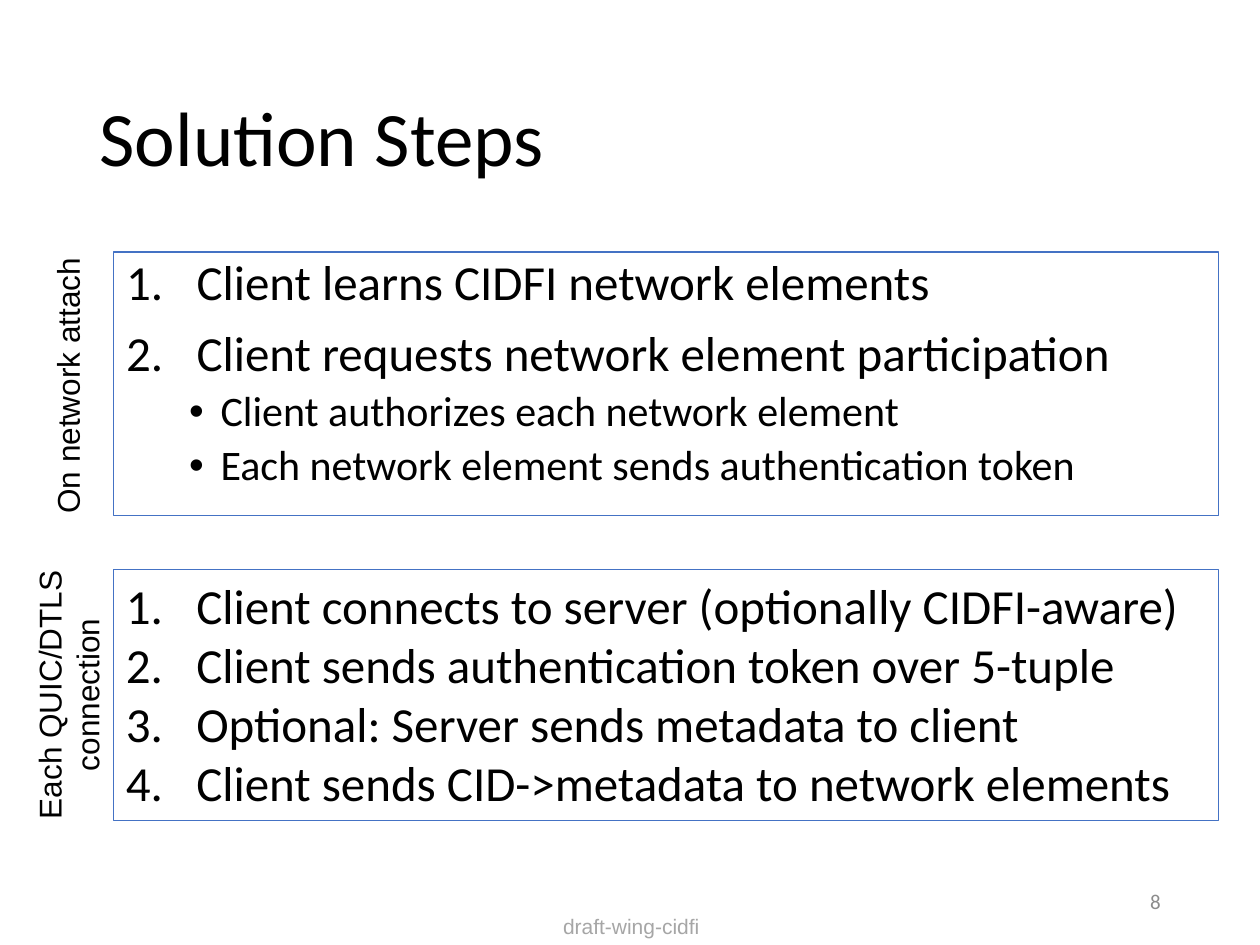
from dataclasses import dataclass

from lxml.etree import SubElement
from pptx import Presentation
from pptx.dml.color import RGBColor
from pptx.enum.text import MSO_ANCHOR, MSO_AUTO_SIZE, PP_ALIGN
from pptx.oxml.ns import qn
from pptx.util import Inches, Pt


@dataclass(frozen=True)
class Theme:
    heading_font: str = "Calibri"
    label_font: str = "Arial"
    text: str = "000000"
    border: str = "4472C4"
    number: str = "8C8C8C"
    footer: str = "A6A6A6"
    title_size: int = 44
    step_size: int = 28
    detail_size: int = 24
    label_size: int = 18
    small_size: int = 12


THEME = Theme()
BOX_LEFT, BOX_WIDTH = 0.9, 8.77

ATTACH_STEPS = [
    (0, "Client learns CIDFI network elements"),
    (0, "Client requests network element participation"),
    (1, "Client authorizes each network element"),
    (1, "Each network element sends authentication token"),
]
CONNECTION_STEPS = [
    (0, "Client connects to server (optionally CIDFI-aware)"),
    (0, "Client sends authentication token over 5-tuple"),
    (0, "Optional: Server sends metadata to client"),
    (0, "Client sends CID->metadata to network elements"),
]


def place(sp, left, top, width, height):
    sp.left, sp.top = Inches(left), Inches(top)
    sp.width, sp.height = Inches(width), Inches(height)


def format_runs(p, font, size, color):
    for r in p.runs:
        r.font.name = font
        r.font.size = Pt(size)
        r.font.color.rgb = RGBColor.from_string(color)


def set_marker(p, level):
    """Number top-level steps and bullet their details, with hanging indents."""
    margin, hang = (0.75, 0.25) if level else (0.56, 0.56)
    pPr = p._p.get_or_add_pPr()
    pPr.set("marL", str(Inches(margin)))
    pPr.set("indent", str(-Inches(hang)))
    if level:
        SubElement(pPr, qn("a:buFont"), typeface="Arial")
        SubElement(pPr, qn("a:buChar"), char="•")
    else:
        SubElement(pPr, qn("a:buFont"), typeface="+mj-lt")
        SubElement(pPr, qn("a:buAutoNum"), type="arabicPeriod")


def fill_steps(sp, steps, line_spacing, space_before):
    """Write the steps into a bordered box; space_before holds points per level."""
    sp.line.color.rgb = RGBColor.from_string(THEME.border)
    sp.line.width = Pt(0.75)
    tf = sp.text_frame
    tf.word_wrap = True
    tf.auto_size = MSO_AUTO_SIZE.NONE
    tf.text = "\n".join(text for _, text in steps)
    for p, (level, _) in zip(tf.paragraphs, steps):
        p.level = level
        p.line_spacing = line_spacing
        p.space_before = Pt(space_before[level])
        set_marker(p, level)
        size = THEME.detail_size if level else THEME.step_size
        format_runs(p, THEME.heading_font, size, THEME.text)


def add_text_box(slide, left, top, width, height):
    sp = slide.shapes.add_textbox(0, 0, 0, 0)
    place(sp, left, top, width, height)
    sp.text_frame.word_wrap = True
    return sp


def add_label(slide, text, box, font, size, color, align=PP_ALIGN.LEFT, rotation=0):
    sp = add_text_box(slide, *box)
    sp.rotation = rotation
    tf = sp.text_frame
    tf.text = text
    tf.vertical_anchor = MSO_ANCHOR.TOP
    p = tf.paragraphs[0]
    p.alignment = align
    format_runs(p, font, size, color)
    return sp


def add_side_label(slide, text, box, align):
    add_label(slide, text, box, THEME.label_font, THEME.label_size, THEME.text,
              align, rotation=270)


def set_title(sp, text):
    place(sp, 0.69, 0.4, 8.62, 1.45)
    tf = sp.text_frame
    tf.text = text
    tf.auto_size = MSO_AUTO_SIZE.NONE
    tf.vertical_anchor = MSO_ANCHOR.MIDDLE
    p = tf.paragraphs[0]
    p.alignment = PP_ALIGN.LEFT
    p.line_spacing = 0.9
    format_runs(p, THEME.heading_font, THEME.title_size, THEME.text)


def main():
    prs = Presentation()
    prs.slide_width, prs.slide_height = Inches(10), Inches(7.5)
    slide = prs.slides.add_slide(prs.slide_layouts[1])

    set_title(slide.shapes.title, "Solution Steps")

    body = slide.placeholders[1]
    place(body, BOX_LEFT, 2, BOX_WIDTH, 2.09)
    fill_steps(body, ATTACH_STEPS, line_spacing=0.9, space_before=(10, 5))

    number = add_label(slide, "8", (7.06, 6.95, 2.25, 0.4), THEME.heading_font,
                       THEME.small_size, THEME.number, PP_ALIGN.RIGHT)
    number.text_frame.vertical_anchor = MSO_ANCHOR.MIDDLE

    connection = add_text_box(slide, BOX_LEFT, 4.52, BOX_WIDTH, 1.99)
    fill_steps(connection, CONNECTION_STEPS, line_spacing=1.0, space_before=(0, 0))

    add_side_label(slide, "On network attach", (-0.63, 2.81, 2.33, 0.4), PP_ALIGN.LEFT)
    add_side_label(slide, "Each QUIC/DTLS connection", (-0.62, 5.16, 2.33, 0.71),
                   PP_ALIGN.CENTER)
    add_label(slide, "draft-wing-cidfi", (3.32, 7.2, 3.38, 0.25), THEME.label_font,
              THEME.small_size, THEME.footer, PP_ALIGN.CENTER)

    prs.save("out.pptx")


if __name__ == "__main__":
    main()
